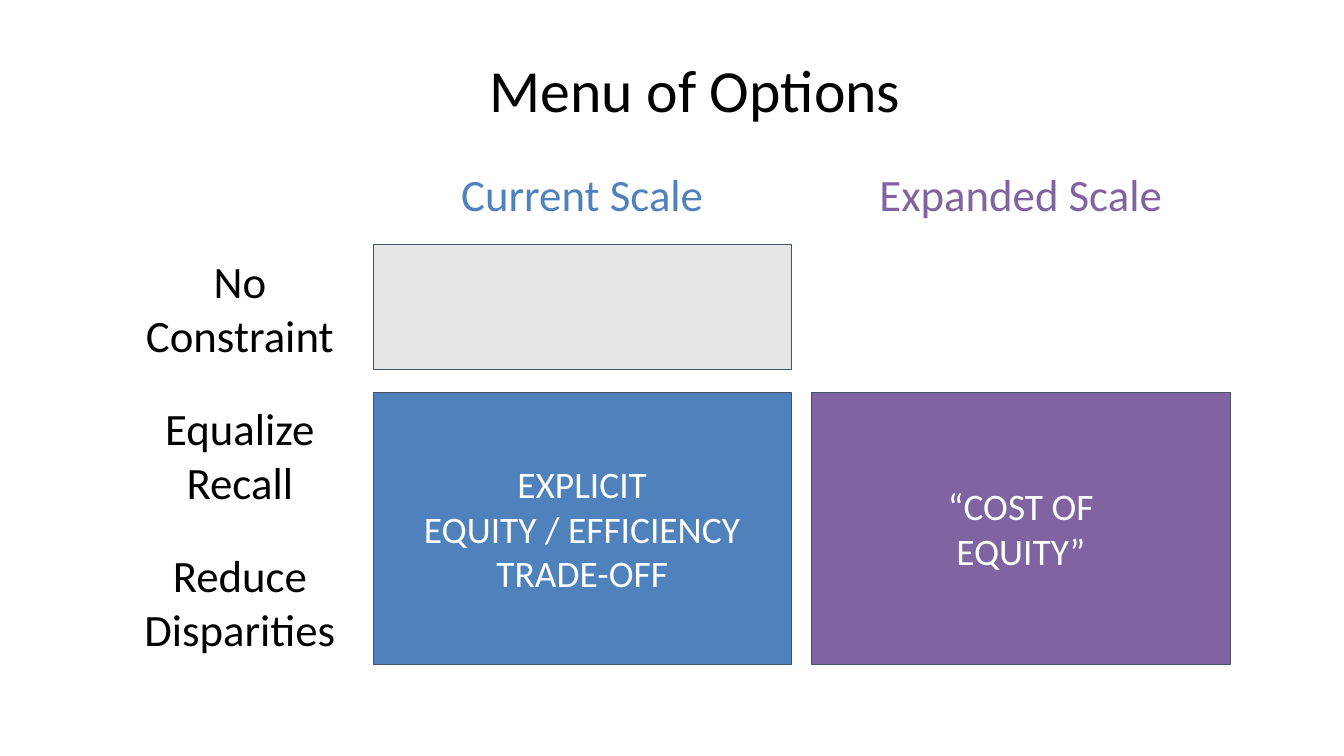
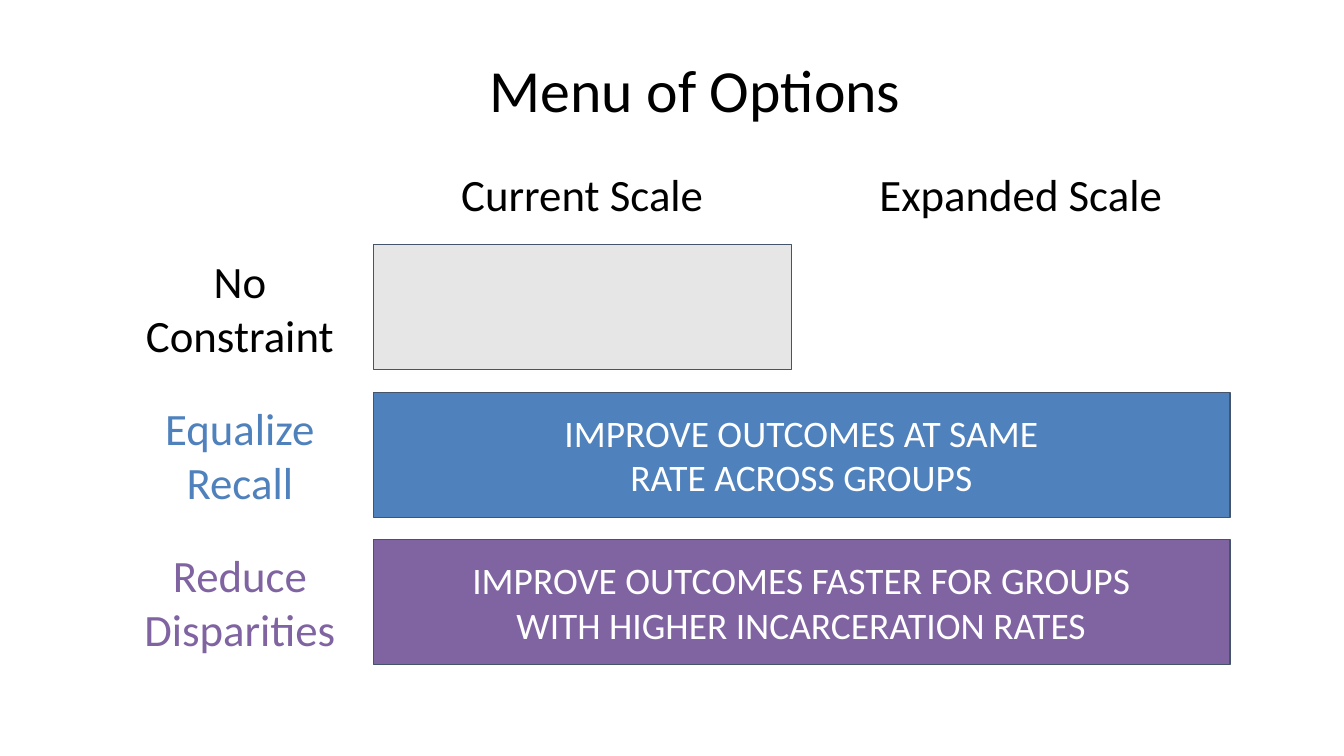
from pptx import Presentation
from pptx.dml.color import RGBColor as RGB
from pptx.enum.shapes import MSO_SHAPE as Shape
from pptx.enum.text import MSO_ANCHOR as Anchor, PP_ALIGN as Align
from pptx.util import Inches, Pt

HUES = {"black": "000000", "white": "FFFFFF", "blue": "4F81BD",
        "purple": "8064A2", "gray": "E7E6E6", "edge": "44546A"}
FONT = "Calibri"
TITLE = "Menu of Options"
COLS = ["Current Scale", "Expanded Scale"]
ROWS = [["No", "Constraint"], ["Equalize", "Recall"], ["Reduce", "Disparities"]]

# Each block: column, row, columns wide, rows high, fill, lines
BASE = (0, 0, 1, 1, "gray", [])
SLIDES = [
    {"cols": ["blue", "purple"],
     "rows": ["black", "black", "black"],
     "blocks": [
         BASE,
         (0, 1, 1, 2, "blue", ["EXPLICIT", "EQUITY / EFFICIENCY", "TRADE-OFF"]),
         (1, 1, 1, 2, "purple", ["“COST OF", "EQUITY”"])]},
    {"cols": ["black", "black"],
     "rows": ["black", "blue", "purple"],
     "blocks": [
         BASE,
         (0, 1, 2, 1, "blue",
          ["IMPROVE OUTCOMES AT SAME", "RATE ACROSS GROUPS"]),
         (0, 2, 2, 1, "purple",
          ["IMPROVE OUTCOMES FASTER FOR GROUPS",
           "WITH HIGHER INCARCERATION RATES"])]},
]

LEFT, TOP = 3.7, 2.43
WIDE, HIGH = 4.15, 1.24
GAP_X, GAP_Y = 0.2, 0.22
HEAD_W, HEAD_H, HEAD_Y = 3.45, 0.59, 1.63
SIDE_X, SIDE_W = 1.06, 2.64


def color(name):
    return RGB.from_string(HUES[name])


def cell(col, row, wide=1, high=1):
    return (LEFT + col * (WIDE + GAP_X), TOP + row * (HIGH + GAP_Y),
            wide * WIDE + (wide - 1) * GAP_X, high * HIGH + (high - 1) * GAP_Y)


def write(shape, lines, size, hue, anchor=Anchor.MIDDLE):
    frame = shape.text_frame
    frame.word_wrap = True
    frame.vertical_anchor = anchor
    frame.margin_left = frame.margin_right = Inches(0.13)
    frame.margin_top = frame.margin_bottom = Inches(0.13)
    for i, line in enumerate(lines):
        para = frame.add_paragraph() if i else frame.paragraphs[0]
        para.alignment = Align.CENTER
        run = para.add_run()
        run.text = line
        run.font.name = FONT
        run.font.size = Pt(size)
        run.font.color.rgb = color(hue)


def label(slide, box, lines, hue, size=32, anchor=Anchor.MIDDLE):
    shape = slide.shapes.add_textbox(*map(Inches, box))
    write(shape, lines, size, hue, anchor)


def block(slide, box, fill, lines):
    shape = slide.shapes.add_shape(Shape.RECTANGLE, *map(Inches, box))
    shape.shadow.inherit = False
    shape.fill.solid()
    shape.fill.fore_color.rgb = color(fill)
    shape.line.color.rgb = color("edge")
    shape.line.width = Pt(0.75)
    write(shape, lines, 26.7, "white")


def build(deck, data):
    slide = deck.slides.add_slide(deck.slide_layouts[6])
    label(slide, (0.5, 0.39, 12.79, 1.11), [TITLE], "black", 42.7, Anchor.TOP)
    for *spot, fill, lines in data["blocks"]:
        block(slide, cell(*spot), fill, lines)
    for i, (text, hue) in enumerate(zip(COLS, data["cols"])):
        x = cell(i, 0)[0] + (WIDE - HEAD_W) / 2
        label(slide, (x, HEAD_Y, HEAD_W, HEAD_H), [text], hue)
    for i, (lines, hue) in enumerate(zip(ROWS, data["rows"])):
        label(slide, (SIDE_X, cell(0, i)[1], SIDE_W, HIGH), lines, hue)


def main():
    deck = Presentation()
    deck.slide_width, deck.slide_height = Inches(13.33), Inches(7.5)
    for data in SLIDES:
        build(deck, data)
    deck.save("out.pptx")


if __name__ == "__main__":
    main()
